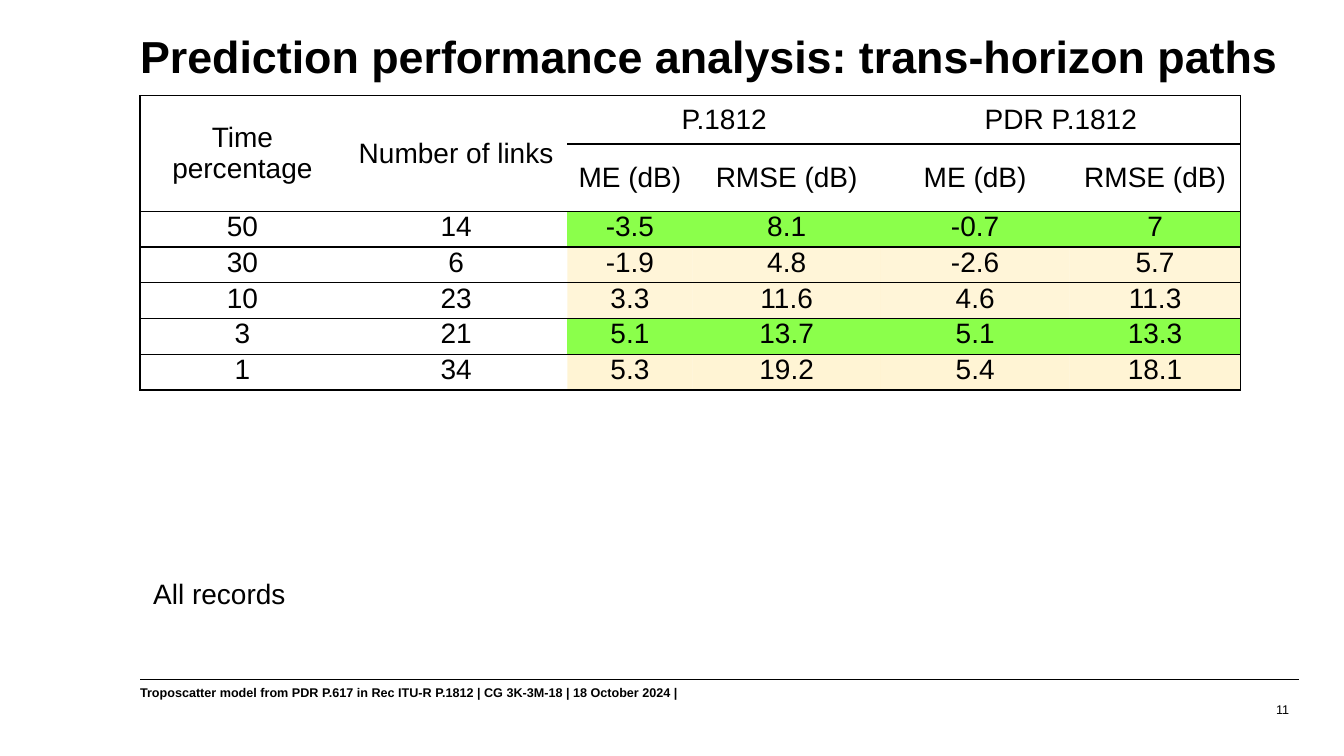
from lxml import etree
from pptx import Presentation
from pptx.dml.color import RGBColor
from pptx.enum.shapes import MSO_CONNECTOR
from pptx.enum.text import MSO_ANCHOR, PP_ALIGN
from pptx.oxml.ns import qn
from pptx.util import Cm, Pt

LEFT, MID, RIGHT = PP_ALIGN.LEFT, PP_ALIGN.CENTER, PP_ALIGN.RIGHT
TOP, CENTRE, BOTTOM = MSO_ANCHOR.TOP, MSO_ANCHOR.MIDDLE, MSO_ANCHOR.BOTTOM
STRAIGHT = MSO_CONNECTOR.STRAIGHT

BLACK = RGBColor(0x00, 0x00, 0x00)
WHITE = RGBColor(0xFF, 0xFF, 0xFF)
GREEN = RGBColor(0x8B, 0xFF, 0x4B)
CREAM = RGBColor(0xFF, 0xEB, 0xAB)

PLAIN = "{2D5ABB26-0587-4C30-8999-92F81FD0307C}"  # table style without grid

WIDTHS = [5.16, 5.61, 3.15, 4.75, 4.75, 4.32]
HEIGHTS = [1.22, 1.57] + [0.9] * 5

# Header cells: row, column, rows spanned, columns spanned, text
HEAD = [
    (0, 0, 2, 1, "Time percentage"),
    (0, 1, 2, 1, "Number of links"),
    (0, 2, 1, 2, "P.1812"),
    (0, 4, 1, 2, "PDR P.1812"),
    (1, 2, 1, 1, "ME (dB)"),
    (1, 3, 1, 1, "RMSE (dB)"),
    (1, 4, 1, 1, "ME (dB)"),
    (1, 5, 1, 1, "RMSE (dB)"),
]

# Data rows: texts, colour of the results, opacity in percent
DATA = [
    (["50", "14", "-3.5", "8.1", "-0.7", "7"], GREEN, 100),
    (["30", "6", "-1.9", "4.8", "-2.6", "5.7"], CREAM, 46),
    (["10", "23", "3.3", "11.6", "4.6", "11.3"], CREAM, 46),
    (["3", "21", "5.1", "13.7", "5.1", "13.3"], GREEN, 100),
    (["1", "34", "5.3", "19.2", "5.4", "18.1"], CREAM, 50),
]


class Page:
    font = "Arial"
    ink = BLACK

    def __init__(self, deck):
        self.slide = deck.slides.add_slide(deck.slide_layouts[6])
        self.shapes = self.slide.shapes

    def run(self, para, text, size, bold=False, align=LEFT):
        para.alignment = align
        run = para.add_run()
        run.text = text
        run.font.name = self.font
        run.font.size = Pt(size)
        run.font.bold = bold
        run.font.color.rgb = self.ink

    def text(self, box, text, size, bold=False, align=LEFT, anchor=TOP, wrap=True):
        frame = self.shapes.add_textbox(*map(Cm, box)).text_frame
        frame.word_wrap = wrap
        frame.vertical_anchor = anchor
        para = frame.paragraphs[0]
        self.run(para, text, size, bold, align)
        return para

    def line(self, ends, width):
        line = self.shapes.add_connector(STRAIGHT, *map(Cm, ends))
        line.line.color.rgb = self.ink
        line.line.width = Pt(width)
        etree.SubElement(line._element.spPr, qn("a:effectLst"))

    def table(self, left, top, widths, heights):
        frame = self.shapes.add_table(
            len(heights), len(widths), Cm(left), Cm(top),
            Cm(sum(widths)), Cm(sum(heights)))
        table = frame.table
        table.first_row = table.horz_banding = False
        table._tbl.tblPr.find(qn("a:tableStyleId")).text = PLAIN
        for col, width in zip(table.columns, widths):
            col.width = Cm(width)
        for row, height in zip(table.rows, heights):
            row.height = Cm(height)
        return table

    def cell(self, cell, text, sides, fill=WHITE, alpha=100, anchor=TOP, gap=2):
        cell.margin_left = cell.margin_right = Cm(0.18)
        cell.margin_top = cell.margin_bottom = 0
        cell.vertical_anchor = anchor
        para = cell.text_frame.paragraphs[0]
        para.space_before = para.space_after = Pt(gap)
        self.run(para, text, 20, align=MID)
        cell.fill.solid()
        cell.fill.fore_color.rgb = fill
        props = cell._tc.tcPr
        if alpha < 100:
            tone = props.find(qn("a:solidFill"))[0]
            etree.SubElement(tone, qn("a:alpha"), val=str(alpha * 1000))
        # Borders come before the fill, in the order L, R, T, B
        for spot, side in enumerate(sides):
            edge = etree.Element(qn("a:ln" + side), w=str(int(Pt(1))))
            paint = etree.SubElement(edge, qn("a:solidFill"))
            etree.SubElement(paint, qn("a:srgbClr"), val=str(self.ink))
            props.insert(spot, edge)


def sides(first, last):
    return ("L" if first else "") + ("R" if last else "") + "TB"


def main():
    deck = Presentation()
    deck.slide_width, deck.slide_height = Cm(33.87), Cm(19.05)
    page = Page(deck)

    # Footer
    page.line((3.53, 17.12, 32.74, 17.12), 0.5)
    page.text((3.28, 17.14, 19.13, 0.64),
              "Troposcatter model from PDR P.617 in Rec ITU-R P.1812"
              " | CG 3K-3M-18 | 18 October 2024 |", 9, bold=True)
    page.text((25.32, 17.17, 7.42, 1.02), "11", 9, align=RIGHT, anchor=BOTTOM)

    # Title and note
    title = page.text((3.28, 0.74, 29.46, 2.44),
                      "Prediction performance analysis: trans-horizon paths",
                      32, bold=True)
    title.line_spacing = 0.9
    page.text((3.61, 14.4, 3.89, 1.12), "All records", 20, wrap=False)

    # Results table
    table = page.table(3.53, 2.41, WIDTHS, HEIGHTS)
    last = len(WIDTHS)
    for row, col, down, across, text in HEAD:
        cell = table.cell(row, col)
        if down * across > 1:
            cell.merge(table.cell(row + down - 1, col + across - 1))
        page.cell(cell, text, sides(col == 0, col + across == last),
                  anchor=CENTRE, gap=4)
    for row, (texts, tint, alpha) in enumerate(DATA, 2):
        for col, text in enumerate(texts):
            fill, shade = (tint, alpha) if col > 1 else (WHITE, 100)
            page.cell(table.cell(row, col), text,
                      sides(col == 0, col + 1 == last), fill, shade)

    deck.save("out.pptx")


if __name__ == "__main__":
    main()
